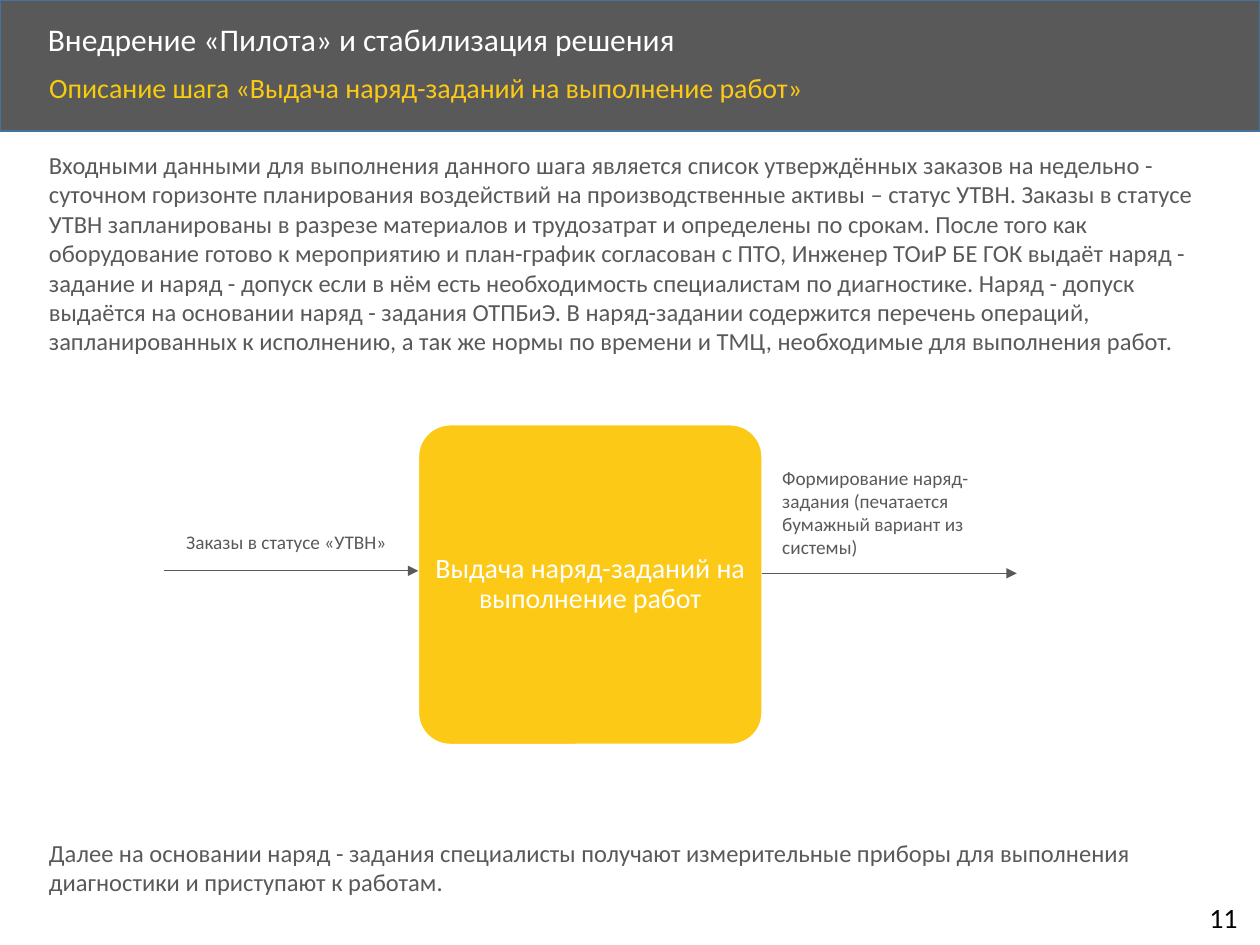
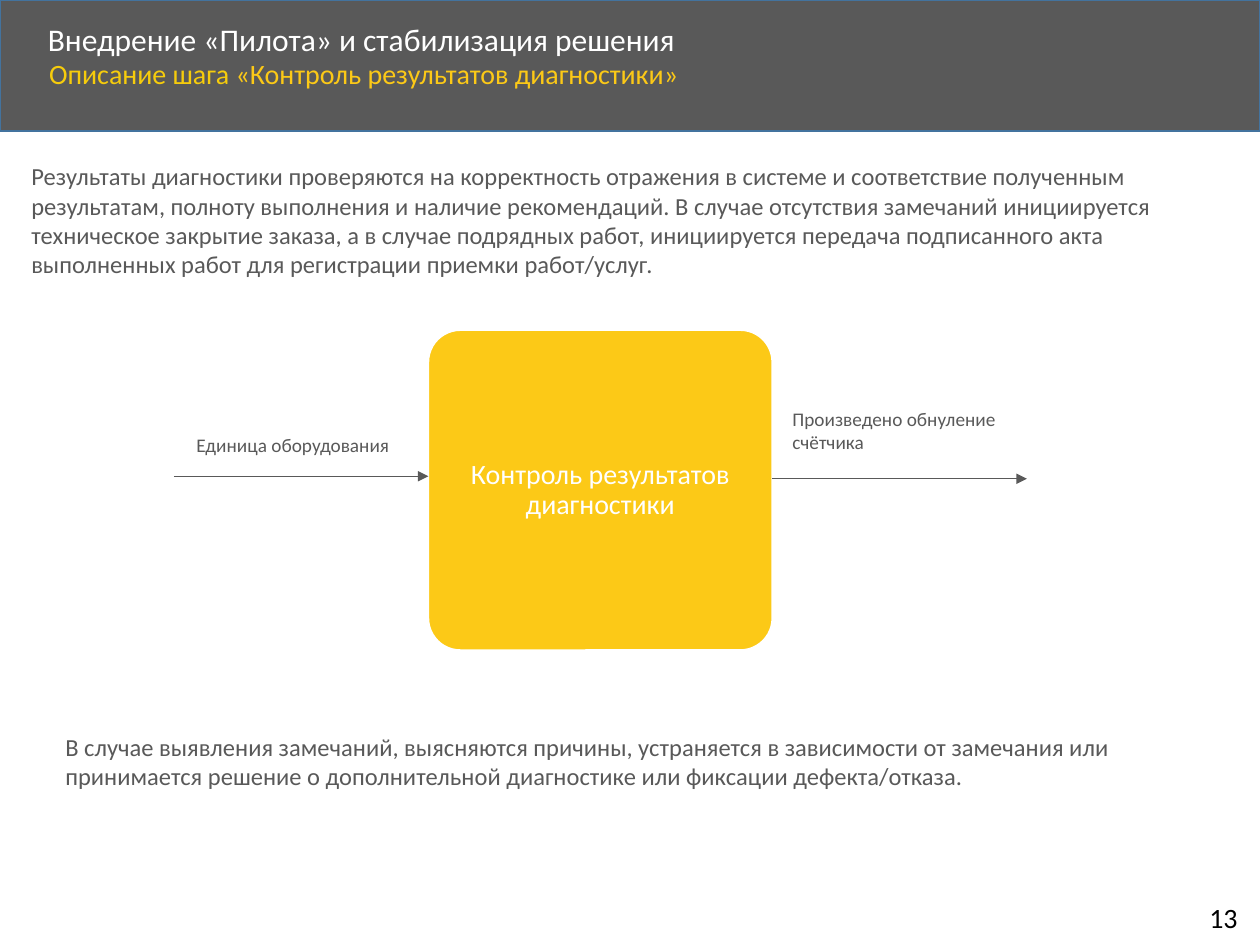
from dataclasses import dataclass
from typing import Any

from lxml.etree import SubElement
from pptx import Presentation
from pptx.dml.color import RGBColor
from pptx.enum.shapes import MSO_CONNECTOR, MSO_SHAPE
from pptx.enum.text import MSO_ANCHOR, MSO_AUTO_SIZE, PP_ALIGN
from pptx.oxml.ns import qn
from pptx.util import Emu, Pt

PX = 9144  # one px is a hundredth of an inch


@dataclass(frozen=True)
class Theme:
    font: str = "Calibri"
    band: RGBColor = RGBColor(0x59, 0x59, 0x59)
    band_edge: RGBColor = RGBColor(0x43, 0x73, 0x9E)
    ink: RGBColor = RGBColor(0x59, 0x59, 0x59)
    white: RGBColor = RGBColor(0xFF, 0xFF, 0xFF)
    black: RGBColor = RGBColor(0, 0, 0)
    yellow: RGBColor = RGBColor(0xFC, 0xC9, 0x17)
    step_prefix: RGBColor = RGBColor(0xF6, 0xCC, 0x0C)
    title: int = 18
    step: int = 16
    text: int = 14
    label: int = 11


@dataclass(frozen=True)
class Box:
    x: int
    y: int
    w: int
    h: int

    def emu(self) -> tuple[Emu, ...]:
        return tuple(px(v) for v in (self.x, self.y, self.w, self.h))


@dataclass(frozen=True)
class Note:
    text: str
    box: Box


@dataclass(frozen=True)
class Step:
    name: str
    name_box: Box
    number: int
    lead: Note
    block: Box
    source: str
    source_y: int
    result: str
    result_y: int
    closing: Note


THEME = Theme()
HEADING = "Внедрение «Пилота» и стабилизация решения"
BAND_BOX = Box(0, 0, 1000, 104)
HEADING_BOX = Box(28, 14, 807, 38)
NUMBER_BOX = Box(950, 710, 46, 37)
BLOCK_W, BLOCK_H = 273, 254
ARROW_LENGTH = 202
ARROW_IN_Y, ARROW_OUT_Y = 116, 118
LABEL_W = 200

STEPS = [
    Step(
        name="Выдача наряд-заданий на выполнение работ",
        name_box=Box(29, 54, 865, 45),
        number=11,
        lead=Note(
            "Входными данными для выполнения данного шага является список утверждённых "
            "заказов на недельно - суточном горизонте планирования воздействий на "
            "производственные активы – статус УТВН. Заказы в статусе УТВН запланированы "
            "в разрезе материалов и трудозатрат и определены по срокам. После того как "
            "оборудование готово к мероприятию и план-график согласован с ПТО, Инженер "
            "ТОиР БЕ ГОК выдаёт наряд - задание и наряд - допуск если в нём есть "
            "необходимость специалистам по диагностике. Наряд - допуск выдаётся на "
            "основании наряд - задания ОТПБиЭ. В наряд-задании содержится перечень "
            "операций, запланированных к исполнению, а так же нормы по времени и ТМЦ, "
            "необходимые для выполнения работ.",
            Box(29, 114, 946, 175)),
        block=Box(332, 337, BLOCK_W, BLOCK_H),
        source="Заказы в статусе «УТВН»",
        source_y=416,
        result="Формирование наряд-задания (печатается бумажный вариант из системы)",
        result_y=365,
        closing=Note(
            "Далее на основании наряд - задания специалисты получают измерительные "
            "приборы для выполнения диагностики и приступают к работам.",
            Box(29, 660, 919, 57)),
    ),
    Step(
        name="Контроль результатов диагностики",
        name_box=Box(29, 43, 867, 45),
        number=13,
        lead=Note(
            "Результаты диагностики проверяются на корректность отражения в системе и "
            "соответствие полученным результатам, полноту выполнения и наличие "
            "рекомендаций. В случае отсутствия замечаний инициируется техническое "
            "закрытие заказа, а в случае подрядных работ, инициируется передача "
            "подписанного акта выполненных работ для регистрации приемки работ/услуг.",
            Box(15, 123, 946, 104)),
        block=Box(340, 262, BLOCK_W, BLOCK_H),
        source="Единица оборудования",
        source_y=339,
        result="Произведено обнуление счётчика",
        result_y=318,
        closing=Note(
            "В случае выявления замечаний, выясняются причины, устраняется в зависимости "
            "от замечания или принимается решение о дополнительной диагностике или "
            "фиксации дефекта/отказа.",
            Box(42, 576, 919, 57)),
    ),
]


def px(value: int) -> Emu:
    return Emu(value * PX)


def apply(target: Any, formats: dict[str, Any]) -> None:
    for name, value in formats.items():
        setattr(target, name, value)


def place(s: Any, box: Box) -> None:
    apply(s, dict(zip(("left", "top", "width", "height"), box.emu())))


def add_run(p: Any, text: str, size: int, color: RGBColor) -> None:
    r = p.add_run()
    r.text = text
    apply(r.font, {"name": THEME.font, "size": Pt(size), "bold": False})
    r.font.color.rgb = color


def add_text(slide: Any, text: str, box: Box, size: int,
             color: RGBColor = THEME.ink, wrap: bool = True) -> None:
    tf = slide.shapes.add_textbox(*box.emu()).text_frame
    apply(tf, {"word_wrap": wrap, "auto_size": MSO_AUTO_SIZE.SHAPE_TO_FIT_TEXT})
    add_run(tf.paragraphs[0], text, size, color)


def add_filled(slide: Any, kind: MSO_SHAPE, box: Box, fill: RGBColor, edge: RGBColor) -> Any:
    s = slide.shapes.add_shape(kind, *box.emu())
    s.shadow.inherit = False
    s.fill.solid()
    s.fill.fore_color.rgb = fill
    s.line.color.rgb = edge
    s.line.width = Pt(1)
    return s


def fill_placeholder(s: Any, box: Box, anchor: MSO_ANCHOR,
                     runs: list[tuple[str, int, RGBColor]]) -> None:
    place(s, box)
    tf = s.text_frame
    apply(tf, {"word_wrap": True, "auto_size": MSO_AUTO_SIZE.NONE, "vertical_anchor": anchor})
    p = tf.paragraphs[0]
    pPr = p._p.get_or_add_pPr()
    apply(p, {"alignment": PP_ALIGN.LEFT, "line_spacing": 0.9, "space_before": Pt(0)})
    pPr.set("marL", "0")
    pPr.set("indent", "0")
    SubElement(pPr, qn("a:buNone"))
    for run in runs:
        add_run(p, *run)


def add_header(slide: Any, step: Step) -> None:
    band = add_filled(slide, MSO_SHAPE.RECTANGLE, BAND_BOX, THEME.band, THEME.band_edge)
    band.element.getparent().insert(2, band.element)  # behind the placeholders
    fill_placeholder(slide.shapes.title, HEADING_BOX, MSO_ANCHOR.MIDDLE,
                     [(HEADING, THEME.title, THEME.white)])
    fill_placeholder(slide.placeholders[1], step.name_box, MSO_ANCHOR.TOP,
                     [("Описание шага ", THEME.step, THEME.step_prefix),
                      (f"«{step.name}»", THEME.step, THEME.yellow)])


def add_arrow(slide: Any, x: int, y: int) -> None:
    line = slide.shapes.add_connector(
        MSO_CONNECTOR.STRAIGHT, px(x), px(y), px(x + ARROW_LENGTH), px(y))
    line.line.color.rgb = THEME.ink
    line.line.width = Pt(0.5)
    SubElement(line.line._get_or_add_ln(), qn("a:tailEnd"), type="triangle")
    SubElement(line.element.spPr, qn("a:effectLst"))


def add_block(slide: Any, step: Step) -> None:
    s = add_filled(slide, MSO_SHAPE.ROUNDED_RECTANGLE, step.block, THEME.yellow, THEME.white)
    s.adjustments[0] = 0.1
    tf = s.text_frame
    margins = dict.fromkeys(
        ("margin_left", "margin_top", "margin_right", "margin_bottom"), px(1))
    apply(tf, {"word_wrap": True, "vertical_anchor": MSO_ANCHOR.MIDDLE, **margins})
    p = tf.paragraphs[0]
    apply(p, {"alignment": PP_ALIGN.CENTER, "line_spacing": 0.9})
    add_run(p, step.name, THEME.step, THEME.white)


def add_flow(slide: Any, step: Step) -> None:
    """Draw the step block with its incoming and outgoing labelled arrows."""
    block = step.block
    right = block.x + block.w
    add_block(slide, step)
    add_arrow(slide, block.x - ARROW_LENGTH, block.y + ARROW_IN_Y)
    add_arrow(slide, right, block.y + ARROW_OUT_Y)
    add_text(slide, step.source, Box(block.x - 194, step.source_y, LABEL_W, 29), THEME.label)
    add_text(slide, step.result, Box(right + 6, step.result_y, LABEL_W, 47), THEME.label)


def add_step_slide(prs: Any, step: Step) -> None:
    slide = prs.slides.add_slide(prs.slide_layouts[1])
    add_header(slide, step)
    add_text(slide, str(step.number), NUMBER_BOX, THEME.step, THEME.black, wrap=False)
    add_flow(slide, step)
    for note in (step.lead, step.closing):
        add_text(slide, note.text, note.box, THEME.text)


def main() -> None:
    prs = Presentation()
    apply(prs, {"slide_width": px(1000), "slide_height": px(750)})
    for step in STEPS:
        add_step_slide(prs, step)
    prs.save("out.pptx")


if __name__ == "__main__":
    main()
